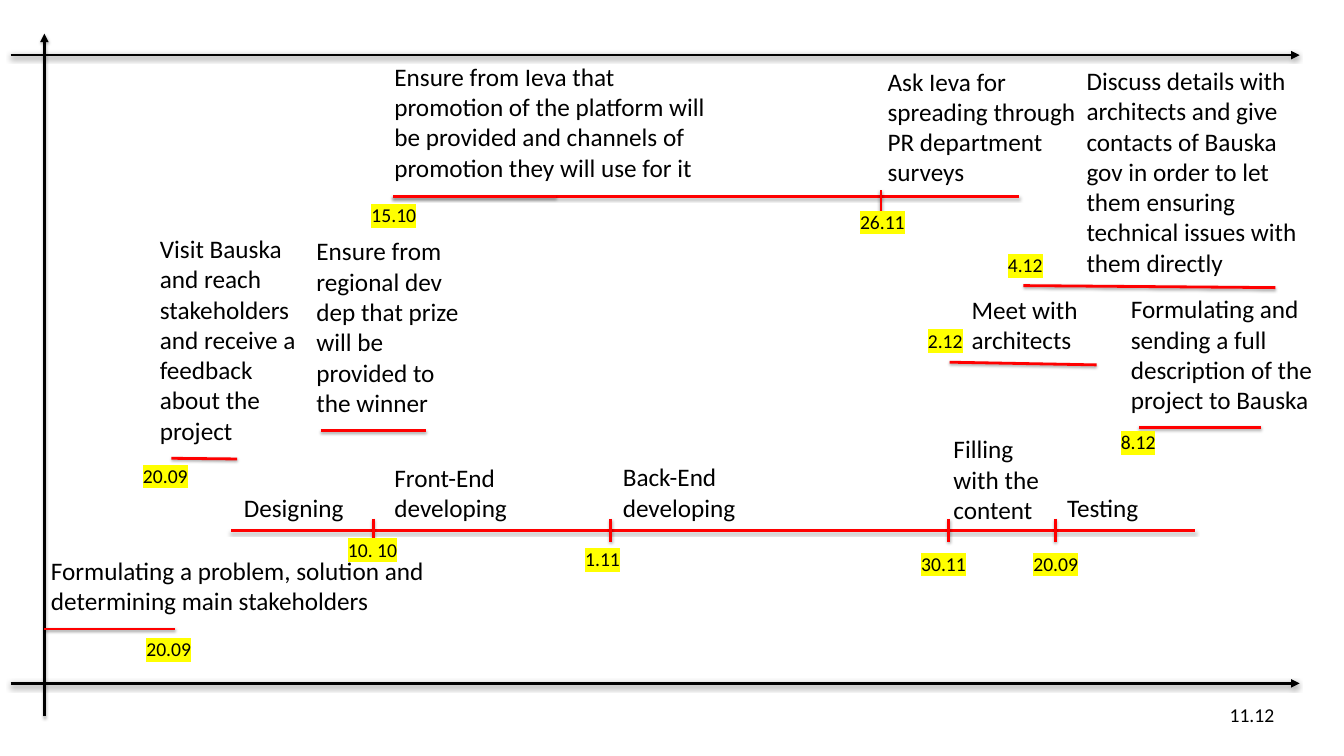
import lxml.etree
import pptx
import pptx.dml.color
import pptx.enum.shapes
import pptx.enum.text
import pptx.oxml.ns
import pptx.util

COLUMNS, ROWS = 20, 11.25
UNIT = pptx.util.Inches(1)  # one column wide, one row high
BLACK, RED, YELLOW = "000000", "FF0000", "FFFF00"
LABEL_SIZE, DATE_SIZE = 27, 21
LABEL_LINE, PADDING = 0.455, 0.1
DATE_WIDTH, DATE_HEIGHT = 1.14, 0.45
TICK_HEIGHT = 0.34


def grid(value):
    return round(value * UNIT)


def color(value):
    return pptx.dml.color.RGBColor.from_string(value)


def add_element(parent, tag, **attributes):
    element = lxml.etree.SubElement(parent, pptx.oxml.ns.qn(tag))
    for name, value in attributes.items():
        element.set(name, str(value))
    return element


def add_line(slide, start, end, line_color=RED, arrow=False):
    connector = slide.shapes.add_connector(
        pptx.enum.shapes.MSO_CONNECTOR.STRAIGHT, *map(grid, (*start, *end)))
    connector.line.color.rgb = color(line_color)
    connector.line.width = pptx.util.Pt(3)
    properties = connector.line._get_or_add_ln()
    if arrow:
        add_element(properties, "a:tailEnd", type="triangle")
    effects = add_element(properties.getparent(), "a:effectLst")
    shadow = add_element(effects, "a:outerShdw", blurRad=pptx.util.Pt(3.1),
                         dist=pptx.util.Pt(1.8), dir=90 * 60000, rotWithShape=0)
    shade = add_element(shadow, "a:srgbClr", val=BLACK)
    add_element(shade, "a:alpha", val=35000)


def add_text(slide, box, text, size, highlight=None):
    text_frame = slide.shapes.add_textbox(*map(grid, box)).text_frame
    text_frame.word_wrap = True
    text_frame.auto_size = pptx.enum.text.MSO_AUTO_SIZE.SHAPE_TO_FIT_TEXT
    text_frame.text = text
    run = text_frame.paragraphs[0].runs[0]
    run.font.size = pptx.util.Pt(size)
    run.font.name = "Calibri"
    run.font.color.rgb = color(BLACK)
    if highlight:
        properties = run._r.get_or_add_rPr()
        mark = add_element(properties, "a:highlight")
        add_element(mark, "a:srgbClr", val=highlight)
        properties.find(pptx.oxml.ns.qn("a:solidFill")).addnext(mark)


def add_label(slide, left, bottom, width, lines, text):
    """Set a label that stands on the given bottom edge."""
    height = lines * LABEL_LINE + PADDING
    add_text(slide, (left, bottom - height, width, height), text, LABEL_SIZE)


def add_date(slide, left, top, text, highlight=YELLOW):
    add_text(slide, (left, top, DATE_WIDTH, DATE_HEIGHT), text, DATE_SIZE, highlight)


def draw_axes(slide, box):
    left, top, width, height = box
    right, bottom = left + width, top + height
    for y in (top + 0.32, bottom - 0.49):
        add_line(slide, (left, y), (right, y), BLACK, arrow=True)
    add_line(slide, (left + 0.5, bottom), (left + 0.5, top), BLACK, arrow=True)
    add_date(slide, right - 1.14, bottom - 0.25, "11.12", highlight=None)


def draw_track(slide, box, ticks, tick_rise, labels, dates):
    """Draw a shared line with ticks, labels above it and dates below it."""
    left, y, width = box
    add_line(slide, (left, y), (left + width, y))
    for column in ticks:
        top = y - tick_rise
        add_line(slide, (left + column, top), (left + column, top + TICK_HEIGHT))
    for column, rise, label_width, lines, text in labels:
        add_label(slide, left + column, y - rise, label_width, lines, text)
    for column, drop, text in dates:
        add_date(slide, left + column, y + drop, text)


def draw_task(slide, box, text, rule, date=None):
    """Draw one label with its rule and date, measured from its bottom left."""
    left, bottom, width, lines = box
    add_label(slide, left, bottom, width, lines, text)
    start, start_drop, end, end_drop = rule
    add_line(slide, (left + start, bottom + start_drop), (left + end, bottom + end_drop))
    if date:
        column, drop, day = date
        add_date(slide, left + column, bottom + drop, day)


# Box: left, line height, width. Labels: column, rise, width, lines, text.
DEVELOPMENT = dict(
    box=(3.44, 7.9, 14.35), ticks=(2.12, 5.65, 10.68, 12.27), tick_rise=0.18,
    labels=[
        (0.09, 0.07, 2.02, 1, "Designing"),
        (2.33, 0.06, 2.02, 2, "Front-End developing"),
        (5.73, 0.07, 2.16, 2, "Back-End developing"),
        (10.65, 0.03, 1.62, 3, "Filling with the content"),
        (12.34, 0.07, 1.62, 1, "Testing"),
    ],
    dates=[(1.64, 0.05, "10. 10"), (5.17, 0.19, "1.11"),
           (10.17, 0.26, "30.11"), (11.84, 0.26, "20.09")])

PROMOTION = dict(
    box=(5.85, 2.93, 9.31), ticks=(7.26,), tick_rise=0.1,
    labels=[
        (-0.08, 0.15, 5.11, 4, "Ensure from Ieva that promotion of the platform will "
         "be provided and channels of promotion they will use for it"),
        (7.26, 0.08, 3.17, 4, "Ask Ieva for spreading through PR department surveys"),
    ],
    dates=[(-0.42, 0.04, "15.10"), (6.85, 0.14, "26.11")])

# Box: left, bottom, width, lines.
TASKS = [
    ((0.66, 9.22, 6.45, 2),
     "Formulating a problem, solution and determining main stakeholders",
     (0, 0.14, 1.95, 0.14), (1.42, 0.21, "20.09")),
    ((2.28, 6.71, 2.25, 7),
     "Visit Bauska and reach stakeholders and receive a feedback about the project",
     (0.27, 0.11, 1.25, 0.12), (-0.25, 0.14, "20.09")),
    ((4.61, 6.29, 2.5, 6),
     "Ensure from regional dev dep that prize will be provided to the winner",
     (0.16, 0.12, 1.73, 0.12)),
    ((16.07, 4.21, 3.52, 7),
     "Discuss details with architects and give contacts of Bauska gov in order "
     "to let them ensuring technical issues with them directly",
     (-0.84, 0.04, 2.91, 0.07), (-1.17, -0.49, "4.12")),
    ((14.36, 5.34, 1.92, 2), "Meet with architects",
     (-0.23, 0.05, 1.96, 0.09), (-0.65, -0.5, "2.12")),
    ((16.73, 6.24, 3.4, 4),
     "Formulating and sending a full description of the project to Bauska",
     (0.22, 0.12, 2.04, 0.12), (-0.15, 0.11, "8.12")),
]


def main():
    presentation = pptx.Presentation()
    presentation.slide_width = grid(COLUMNS)
    presentation.slide_height = grid(ROWS)
    slide = presentation.slides.add_slide(presentation.slide_layouts[6])
    draw_axes(slide, (0.16, 0.5, 19.18, 10.16))
    draw_track(slide, **DEVELOPMENT)
    draw_track(slide, **PROMOTION)
    left, y, _ = PROMOTION["box"]
    add_line(slide, (left, y), (left + 2.43, y))
    for task in TASKS:
        draw_task(slide, *task)
    presentation.save("out.pptx")


if __name__ == "__main__":
    main()
